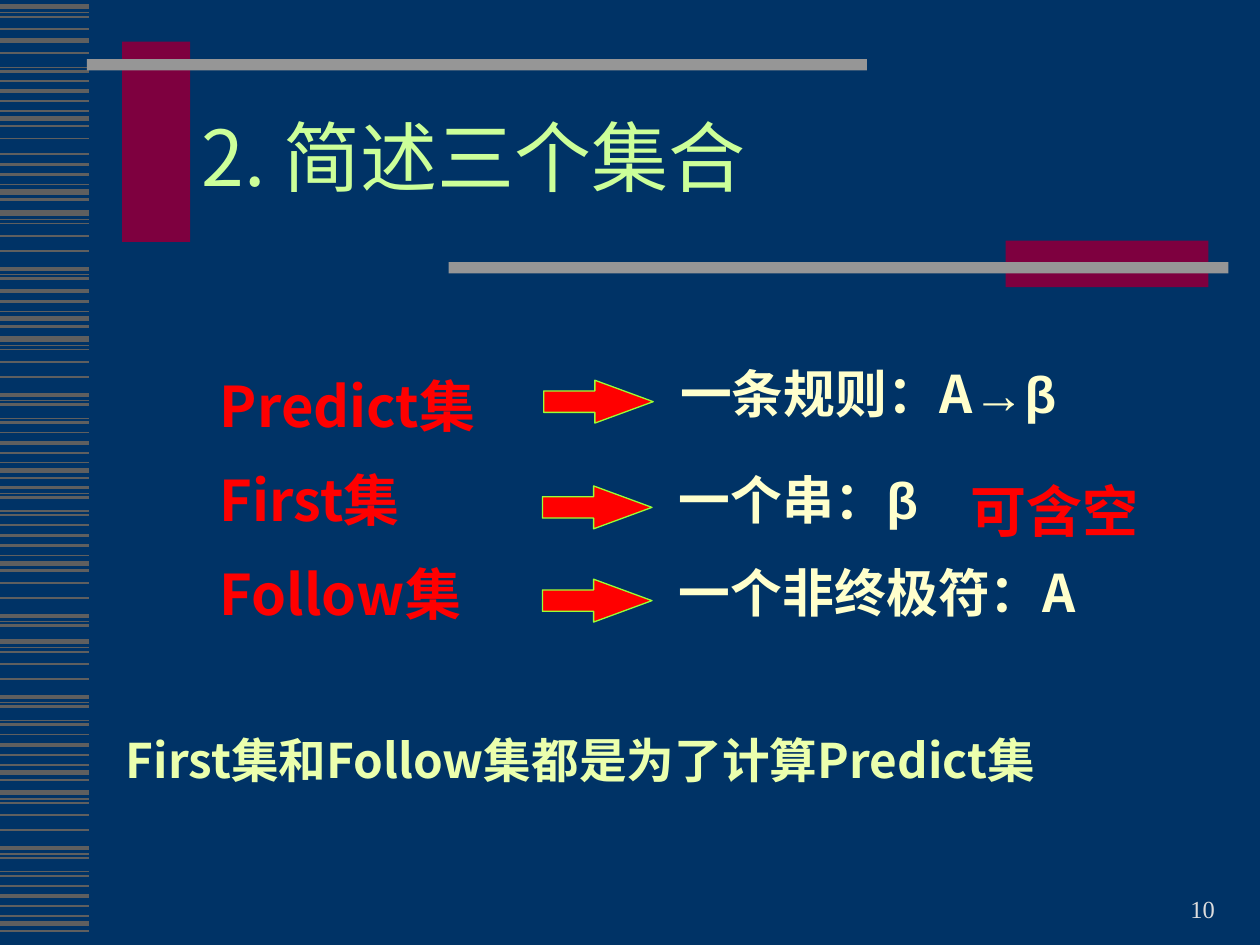
"""Build the slide that introduces the Predict, First and Follow sets."""
from dataclasses import dataclass

from lxml.etree import SubElement
from pptx import Presentation
from pptx.dml.color import RGBColor as Color
from pptx.enum.shapes import MSO_CONNECTOR as Connector, MSO_SHAPE as Shape
from pptx.enum.text import MSO_ANCHOR as Anchor, MSO_AUTO_SIZE as AutoSize, PP_ALIGN as Align
from pptx.oxml.ns import qn
from pptx.util import Pt


@dataclass(frozen=True)
class Theme:
    """Colours, fonts and type sizes of the slide."""
    background: str = "003366"
    stripe: str = "5F5F5F"
    block: str = "7E003F"
    rule: str = "969696"
    title: str = "CCFF99"
    label: str = "FF0000"
    detail: str = "FFFFCC"
    note: str = "EBFFAD"
    number: str = "DDDDDD"
    arrow_line: str = "99FF33"
    sans: str = "Noto Sans CJK SC"
    symbol: str = "Arial"
    serif: str = "Times New Roman"
    title_size: float = 44
    label_size: float = 32
    detail_size: float = 29.6
    note_size: float = 27.2
    number_size: float = 14


THEME = Theme()

TITLE = "2. 简述三个集合"
NOTE = "First集和Follow集都是为了计算Predict集"
REMARK = "可含空"
PAGE_NUMBER = "10"

ROWS = [
    ("Predict集", [("一条规则：A", THEME.sans), ("→β", THEME.symbol)], (381.6, 207.4)),
    ("First集", [("一个串：", THEME.sans), ("β", THEME.symbol)], (380.9, 267.8)),
    ("Follow集", [("一个非终极符：A", THEME.sans)], (380.9, 321.1)),
]
LABEL_TOP, LABEL_STEP = 209, 53.6

BARS = [
    (69.8, 23.8, 38.9, 114.5, THEME.block),
    (49.7, 33.8, 445.7, 6.5, THEME.rule),
    (574.6, 137.5, 115.9, 26.6, THEME.block),
    (256.3, 149.8, 445.7, 6.5, THEME.rule),
]

SHORT = [(0, 1), (5.8, 2.25), (11.6, 1.5), (17.3, 0.75), (21.6, 3), (25.9, 1.5)]
LONG = [(0, 3), (3.6, 0.75), (6, 1), (13, 1), (21.6, 1), (31.8, 2.25),
        (35.1, 0.75), (37.4, 1.5), (45.3, 0.75), (47.6, 1.5)]
STRIPE_RUNS = [
    (3.6, LONG[:4]), (3.6, [(19.4, 3), (26.6, 1.5)]), (3.6, LONG[6:8]),
    (46.1, SHORT), (79.2, [(0, 1)]), (88.2, SHORT), (121.7, LONG[:8]),
    (160.6, SHORT[1:]), (193.7, LONG), (247.2, SHORT), (246.8, LONG[5:]),
    (300.2, SHORT), (320.2, LONG[3:8]), (366.5, LONG), (419.8, SHORT),
    (452.9, LONG), (506.2, SHORT),
]
STRIPE_WIDTH = 51.1


def write(box, runs, size, color, font=THEME.sans, bold=False, spacing=1.0,
          align=Align.LEFT, anchor=Anchor.TOP):
    """Fill a box with one paragraph; runs is a string or (text, font) pairs."""
    frame = box.text_frame
    frame.word_wrap = True
    frame.auto_size = AutoSize.NONE
    frame.vertical_anchor = anchor
    para = frame.paragraphs[0]
    para.alignment = align
    para.line_spacing = spacing
    para.space_before = Pt(0)
    for text, face in [(runs, font)] if isinstance(runs, str) else runs:
        span = para.add_run()
        span.text = text
        span.font.name = face
        span.font.size = Pt(size)
        span.font.bold = bold
        span.font.color.rgb = Color.from_string(color)
        SubElement(span.font._element, qn("a:ea"), typeface=font)


def add_text(page, left, top, width, height, runs, **style):
    """Add a text box and write into it."""
    box = page.shapes.add_textbox(Pt(left), Pt(top), Pt(width), Pt(height))
    write(box, runs, **style)


def add_solid(page, kind, left, top, width, height, fill, line=None):
    """Add a flat preset shape with an optional thin outline."""
    solid = page.shapes.add_shape(kind, Pt(left), Pt(top), Pt(width), Pt(height))
    solid.shadow.inherit = False
    solid.fill.solid()
    solid.fill.fore_color.rgb = Color.from_string(fill)
    if line:
        solid.line.color.rgb = Color.from_string(line)
        solid.line.width = Pt(0.75)
    else:
        solid.line.fill.background()
    return solid


def add_stripes(page):
    """Draw the grouped stripes along the left edge."""
    band = page.shapes.add_group_shape()
    for start, stripes in STRIPE_RUNS:
        for offset, weight in stripes:
            top = Pt(start + offset)
            stripe = band.shapes.add_connector(
                Connector.STRAIGHT, Pt(0), top, Pt(STRIPE_WIDTH), top)
            stripe.line.color.rgb = Color.from_string(THEME.stripe)
            stripe.line.width = Pt(weight)
            SubElement(stripe._element.spPr, qn("a:effectLst"))


def add_rows(page):
    """Add each set's label, arrow and explanation."""
    label_style = dict(size=THEME.label_size, color=THEME.label, bold=True)
    for index, (label, detail, (left, top)) in enumerate(ROWS):
        add_text(page, 118.6, LABEL_TOP + index * LABEL_STEP, 221.8, 61.5,
                 label, **label_style)
        add_text(page, left, top, 272.9, 45.4, detail, size=THEME.detail_size,
                 color=THEME.detail, bold=True, spacing=0.9)
        arrow = add_solid(page, Shape.RIGHT_ARROW, left - 70.9, top + 9.9, 62.6, 24.5,
                          THEME.label, THEME.arrow_line)
        arrow.adjustments[0] = 0.5
        arrow.adjustments[1] = 1.36
    add_text(page, 547.2, 268.6, 121, 61.9, REMARK, **label_style)


def main():
    """Assemble the slide and save it."""
    deck = Presentation()
    deck.slide_width, deck.slide_height = Pt(720), Pt(540)
    page = deck.slides.add_slide(deck.slide_layouts[5])
    page.background.fill.solid()
    page.background.fill.fore_color.rgb = Color.from_string(THEME.background)

    add_stripes(page)
    for *place, fill in BARS:
        add_solid(page, Shape.RECTANGLE, *place, fill)

    title = page.shapes.title
    title.left, title.top, title.width, title.height = Pt(108), Pt(48.2), Pt(581), Pt(90)
    write(title, TITLE, size=THEME.title_size, color=THEME.title, spacing=0.85,
          anchor=Anchor.MIDDLE)

    add_rows(page)
    add_text(page, 64.8, 417.6, 635, 61.9, NOTE, size=THEME.note_size,
             color=THEME.note, bold=True, spacing=0.9)
    add_text(page, 528.5, 495.4, 172.8, 36, PAGE_NUMBER, size=THEME.number_size,
             color=THEME.number, font=THEME.serif, align=Align.RIGHT,
             anchor=Anchor.BOTTOM)
    deck.save("out.pptx")


if __name__ == "__main__":
    main()
